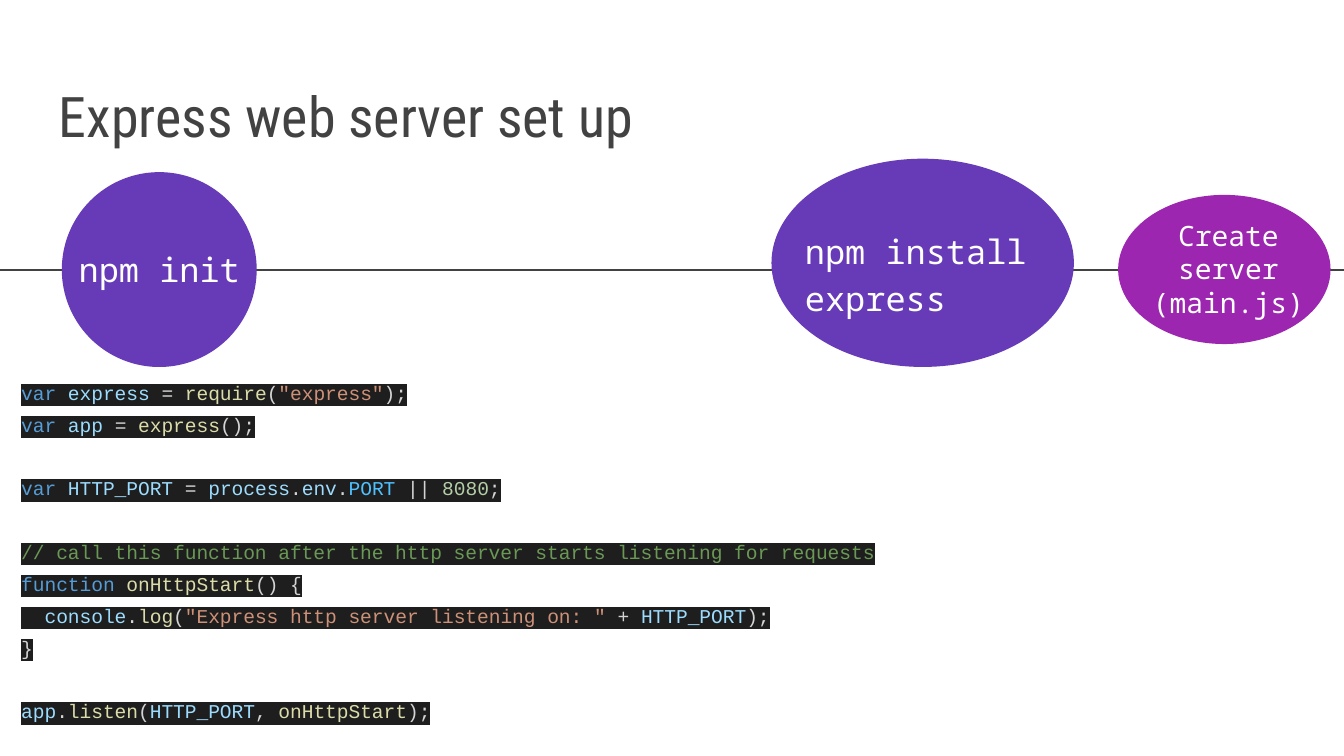
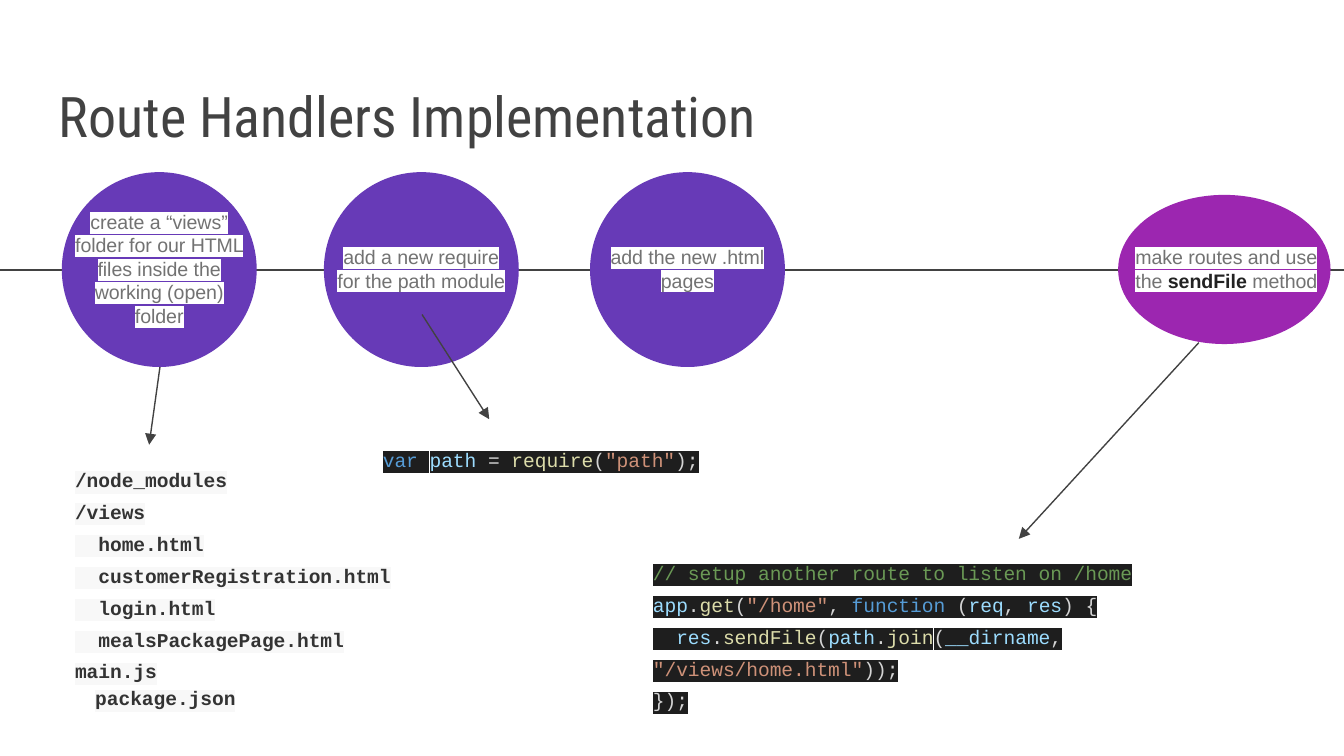
from pptx import Presentation
from pptx.dml.color import RGBColor
from pptx.enum.shapes import MSO_CONNECTOR as Link, MSO_SHAPE as Form
from pptx.enum.text import MSO_ANCHOR as Anchor, PP_ALIGN as Align
from pptx.oxml.ns import qn
from pptx.util import Pt
from lxml.etree import SubElement, Element

hue = RGBColor.from_string

# Shared colours and text styles
DARK, VIOLET, PLUM = "424242", "673AB7", "9C26B0"
HEAD = dict(name="Roboto Condensed", size=Pt(30), ink=DARK)
BIG = dict(name="Noto Sans Mono", size=Pt(18), ink="FFFFFF")
MID = {**BIG, "size": Pt(15)}
NOTE = dict(name="Arial", size=Pt(10.5), ink="727272", mark="FFFFFF")
CODE = dict(name="Courier New", size=Pt(10.5), mark="1E1E1E")
TREE = {**CODE, "ink": "333333", "mark": "F8F8F8", "bold": True}
CENTRE = dict(alignment=Align.CENTER)
LEFT = dict(alignment=Align.LEFT)
LOOSE = dict(line_spacing=1.36)

# Syntax colours
KEY, NAME, CALL = dict(ink="569CD6"), dict(ink="9CDCFE"), dict(ink="DCDCAA")
SIGN, QUOTE, REM = dict(ink="D4D4D4"), dict(ink="CE9178"), dict(ink="6A9955")
CONST, NUM = dict(ink="4FC1FF"), dict(ink="B5CEA8")


def write(slide, box, lines, font, form, anchor=Anchor.TOP):
    """Each line is a string or a list of (text, font changes) pairs."""
    frame = slide.shapes.add_textbox(*map(Pt, box)).text_frame
    frame.word_wrap = True
    frame.vertical_anchor = anchor
    for side in ("left", "top", "right", "bottom"):
        setattr(frame, f"margin_{side}", Pt(7.2))
    for i, line in enumerate(lines):
        para = frame.add_paragraph() if i else frame.paragraphs[0]
        for key, value in form.items():
            setattr(para, key, value)
        for text, change in [(line, {})] if isinstance(line, str) else line:
            run = para.add_run()
            run.text = text
            look = {**font, **change}
            ink, mark = look.pop("ink"), look.pop("mark", None)
            for key, value in look.items():
                setattr(run.font, key, value)
            run.font.color.rgb = hue(ink)
            if mark:
                light = Element(qn("a:highlight"))
                SubElement(light, qn("a:srgbClr")).set("val", mark)
                run._r.get_or_add_rPr().find(qn("a:solidFill")).addnext(light)
    return frame


def draw(slide, x1, y1, x2, y2, width, arrow=False):
    line = slide.shapes.add_connector(
        Link.STRAIGHT, Pt(x1), Pt(y1), Pt(x2), Pt(y2))
    line.line.color.rgb = hue(DARK)
    line.line.width = Pt(width)
    if arrow:
        SubElement(line.line._ln, qn("a:tailEnd")).set("type", "triangle")
    SubElement(line._element.spPr, qn("a:effectLst"))


deck = Presentation()
deck.slide_width, deck.slide_height = Pt(720), Pt(405)

# Steps: oval box, fill, label left and top, lines, font, format
ROUND, TOP = (92.2, 104.4, 104.4), 120.2
LAST = (599, 104.4, 113.8, 79.9)
setup = [
    ((33.1, *ROUND), VIOLET, 33.1, TOP, ["npm init"], BIG, CENTRE),
    ((413.3, 85, 162, 111.6), VIOLET, 413.3, 121.7,
     ["npm install express"], BIG, LEFT),
    (LAST, PLUM, 601.2, TOP, ["Create server", "(main.js)"], MID, CENTRE),
]
tasks = [
    (33.1, "create a “views” folder for our HTML files inside the working (open) folder"),
    (173.5, "add a new require for the path module"),
    (316.1, "add the new .html pages"),
]
routes = [((x, *ROUND), VIOLET, x, TOP, [text], NOTE, CENTRE)
          for x, text in tasks]
routes.append((LAST, PLUM, 601.2, TOP, [[
    ("make routes and use the ", {}),
    ("sendFile", dict(ink="222222", bold=True)),
    (" method", {})]], NOTE, LEFT))

# Timeline, title and steps of both slides
pages, labels = [], []
for title, steps in (("Express web server set up", setup),
                     ("Route Handlers Implementation", routes)):
    page = deck.slides.add_slide(deck.slide_layouts[6])
    pages.append(page)
    draw(page, 0, 144.7, 720, 144.7, 1.5)
    write(page, (24.5, 29.5, 671, 57.6), [title], HEAD, LEFT, Anchor.BOTTOM)
    for box, fill, x, y, lines, font, form in steps:
        oval = page.shapes.add_shape(Form.OVAL, *map(Pt, box))
        oval.shadow.inherit = False
        oval.fill.solid()
        oval.fill.fore_color.rgb = hue(fill)
        oval.line.fill.background()
        labels.append(write(page, (x, y, box[2], 47.5), lines, font, form,
                            Anchor.MIDDLE))
first, second = pages

# Server code, with gaps between its parts
server = write(first, (4.3, 192.2, 715.7, 199.4), [
    [("var", KEY), (" ", SIGN), ("express", NAME), (" = ", SIGN),
     ("require", CALL), ("(", SIGN), ('"express"', QUOTE), (");", SIGN)],
    [("var", KEY), (" ", SIGN), ("app", NAME), (" = ", SIGN),
     ("express", CALL), ("();", SIGN)],
    [("var", KEY), (" ", SIGN), ("HTTP_PORT", NAME), (" = ", SIGN),
     ("process", NAME), (".", SIGN), ("env", NAME), (".", SIGN),
     ("PORT", CONST), (" || ", SIGN), ("8080", NUM), (";", SIGN)],
    [("// call this function after the http server starts listening for requests", REM)],
    [("function", KEY), (" ", SIGN), ("onHttpStart", CALL), ("() {", SIGN)],
    [("  ", SIGN), ("console", NAME), (".", SIGN), ("log", CALL), ("(", SIGN),
     ('"Express http server listening on: "', QUOTE), (" + ", SIGN),
     ("HTTP_PORT", NAME), (");", SIGN)],
    [("}", SIGN)],
    [("app", NAME), (".", SIGN), ("listen", CALL), ("(", SIGN),
     ("HTTP_PORT", NAME), (", ", SIGN), ("onHttpStart", CALL), (");", SIGN)],
], CODE, LOOSE)
for i in (2, 3, 7):
    server.paragraphs[i].space_before = Pt(17)

# Folder tree
tree = write(second, (33.1, 239, 208.1, 141.1), [
    "/node_modules", "/views", "  home.html", "  customerRegistration.html",
    "  login.html", "  mealsPackagePage.html", "main.js", "package.json",
], TREE, LOOSE)

# Indented paragraphs
for para in (labels[1].paragraphs[0], tree.paragraphs[-1]):
    para.line_spacing, para.space_after = 1.15, Pt(15)
    para._p.get_or_add_pPr().set("marL", str(Pt(10.8)))

# Require line
write(second, (198, 228.2, 236.2, 29.5), [
    [("var", KEY), (" ", SIGN), ("path", NAME), (" = ", SIGN),
     ("require", CALL), ("(", SIGN), ('"path"', QUOTE), (");", SIGN)],
], CODE, LOOSE)

# Arrows from steps to details
for ends in ((226.1, 168.5, 262.1, 224.6), (85.7, 196.6, 79.9, 238.3),
             (642.2, 183.6, 545.8, 288.7)):
    draw(second, *ends, 0.75, True)

# Route code
write(second, (342.7, 288.7, 369.4, 92.2), [
    [("// setup another route to listen on /home", REM)],
    [("app", NAME), (".", SIGN), ("get", CALL), ("(", SIGN),
     ('"/home"', QUOTE), (", ", SIGN), ("function", KEY), (" (", SIGN),
     ("req", NAME), (", ", SIGN), ("res", NAME), (") {", SIGN)],
    [("  ", SIGN), ("res", NAME), (".", SIGN), ("sendFile", CALL),
     ("(", SIGN), ("path", NAME), (".", SIGN), ("join", CALL), ("(", SIGN),
     ("__dirname", NAME), (", ", SIGN), ('"/views/home.html"', QUOTE),
     ("));", SIGN)],
    [("});", SIGN)],
], CODE, LOOSE)

deck.save("out.pptx")
